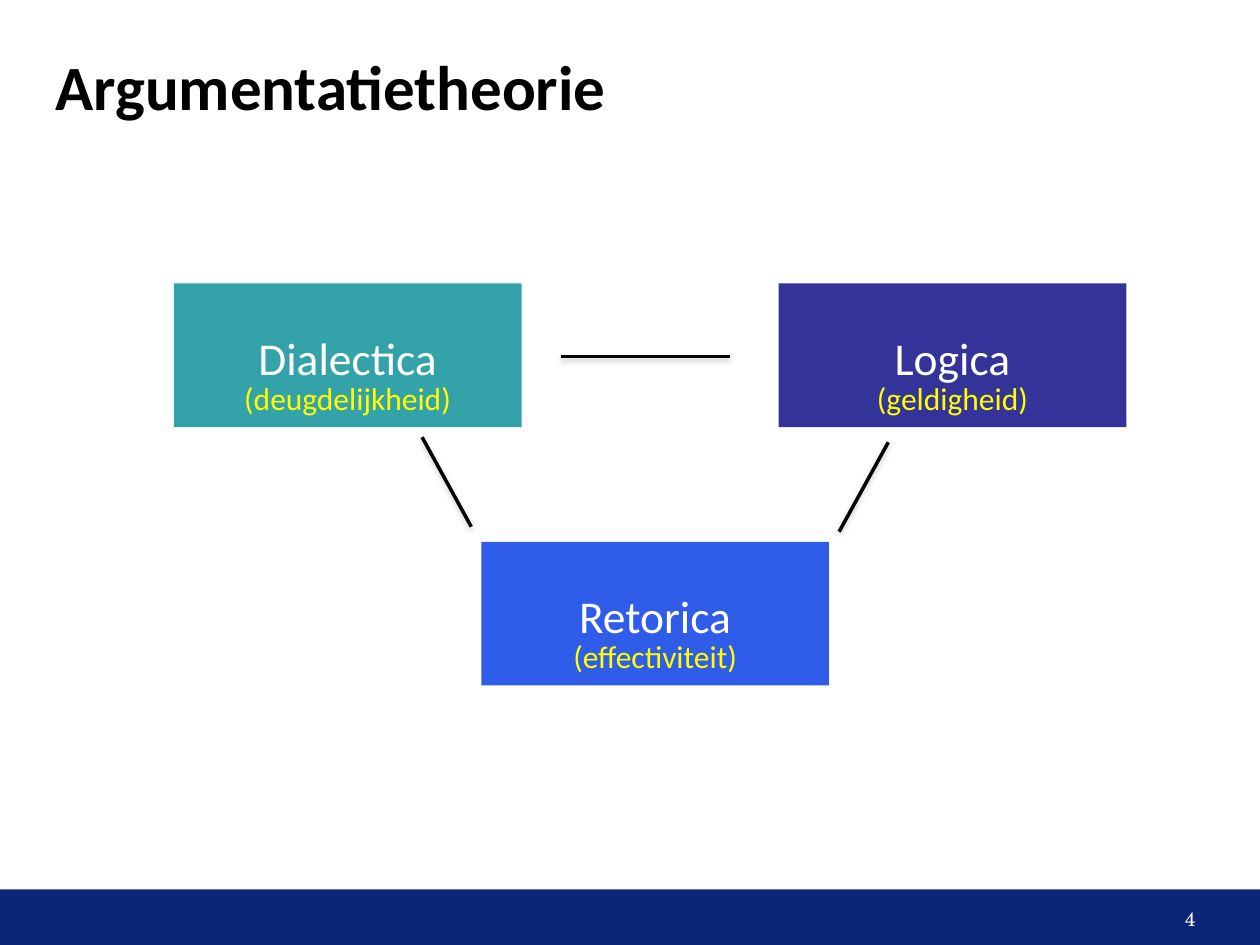
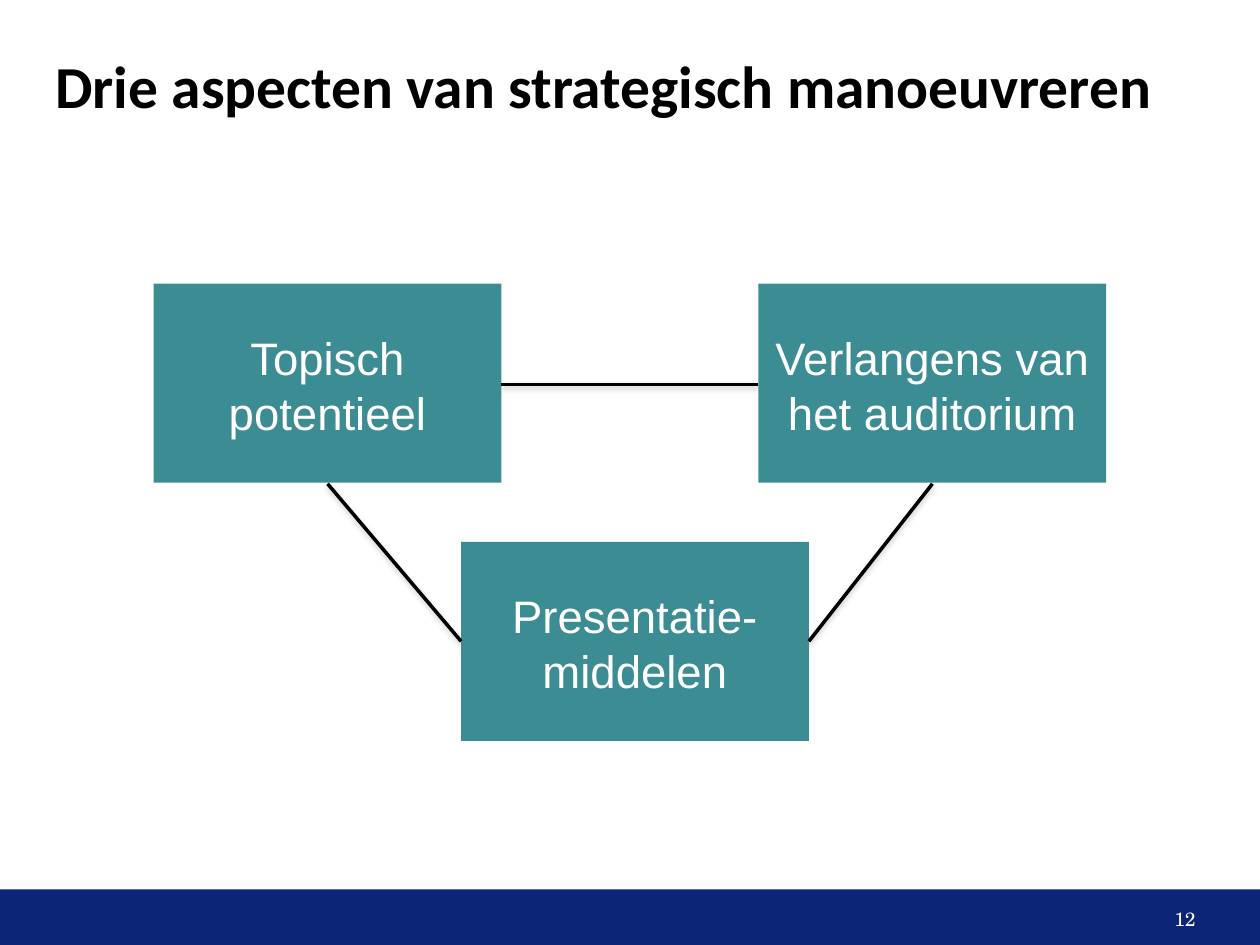
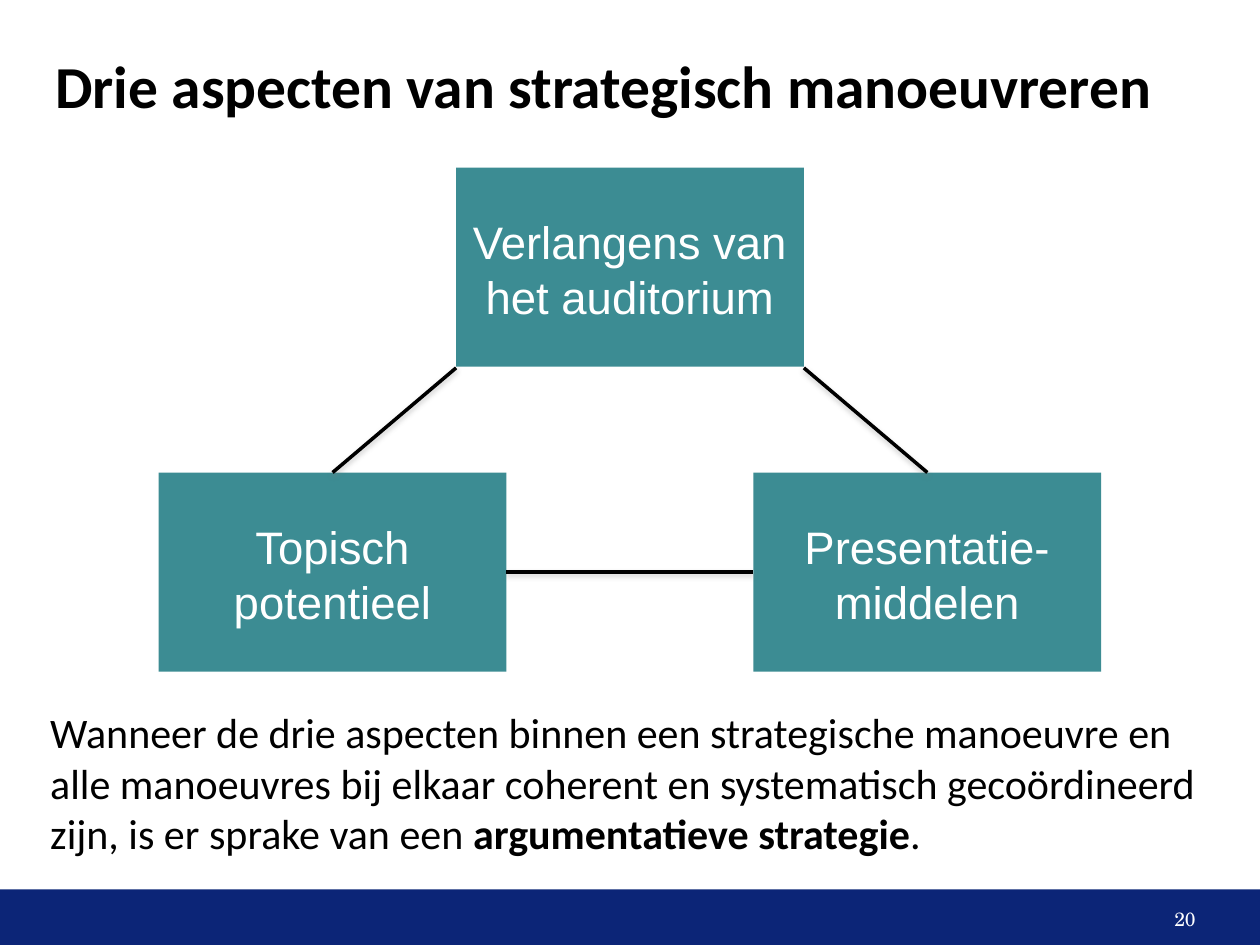
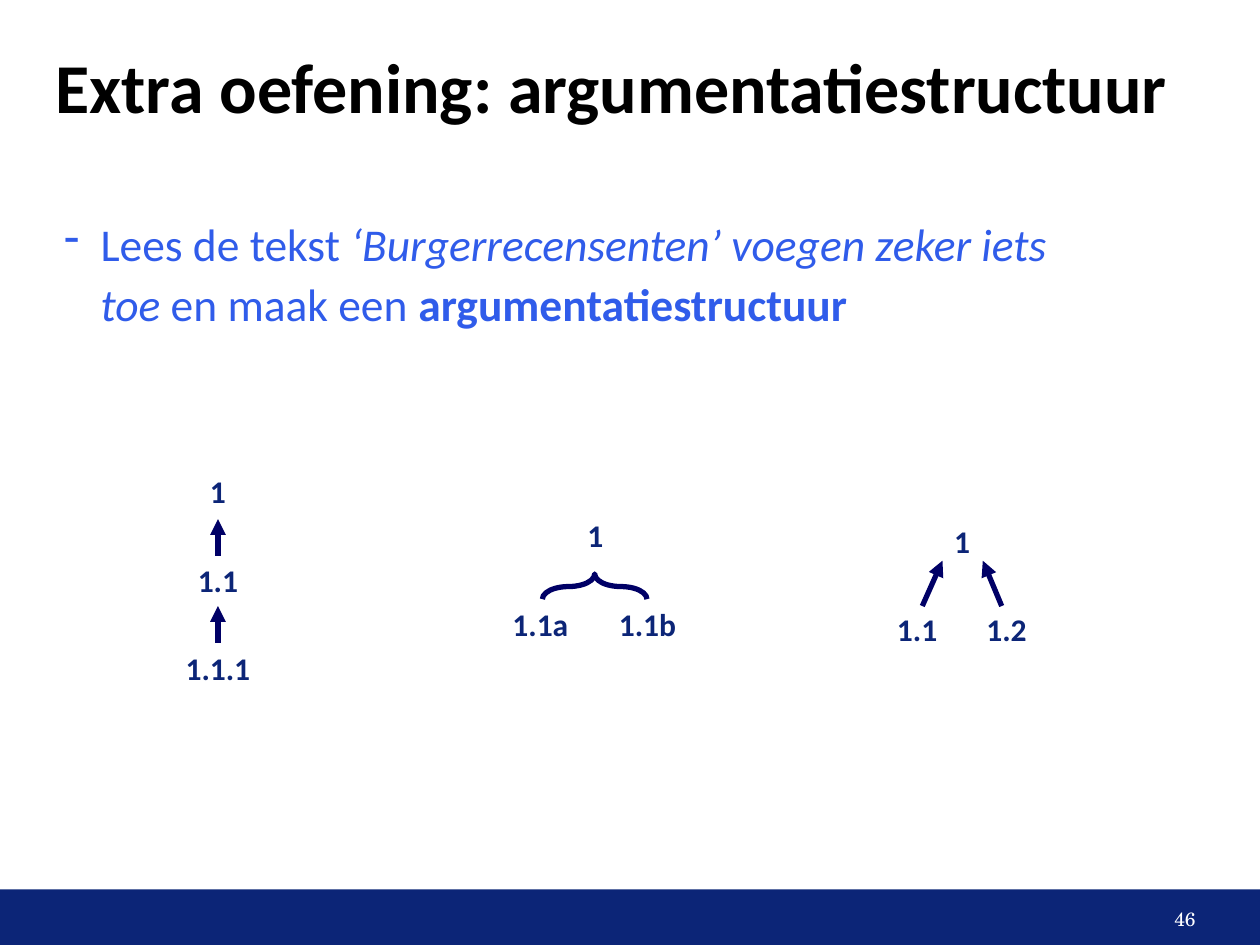
from lxml import etree
from pptx import Presentation
from pptx.dml.color import RGBColor
from pptx.enum import shapes, text
from pptx.oxml import ns
from pptx.util import Inches, Pt

NAVY, INK, TEAL, BLUE = "0C2577", "000066", "3C8C93", "305CEA"
WHITE, BLACK, YELLOW = "FFFFFF", "000000", "FFFF00"
LEFT, CENTER, RIGHT = text.PP_ALIGN.LEFT, text.PP_ALIGN.CENTER, text.PP_ALIGN.RIGHT
TOP, MIDDLE = text.MSO_ANCHOR.TOP, text.MSO_ANCHOR.MIDDLE
BOX_W = 2.76
TEXT_TOP = 0.37  # top margin inside the coloured boxes
LEVEL_GAP = 29   # points between the levels of an argument structure


def add_text(s, at, paragraphs, size, color, font="Calibri", align=LEFT, fill=None,
             anchor=TOP, margins=(0.1, 0.05, 0.1, 0.05), gap=0):
    """Add a text box, or a filled rectangle; a paragraph is a list of (text, style), style from "b" and "i"."""
    at = [Inches(v) for v in at]
    if fill:
        sp = s.shapes.add_shape(shapes.MSO_SHAPE.RECTANGLE, *at)
        sp.shadow.inherit = False
        sp.fill.solid()
        sp.fill.fore_color.rgb = RGBColor.from_string(fill)
        sp.line.fill.background()
    else:
        sp = s.shapes.add_textbox(*at)
    tf = sp.text_frame
    tf.word_wrap = True
    tf.vertical_anchor = anchor
    tf.margin_left, tf.margin_top, tf.margin_right, tf.margin_bottom = map(Inches, margins)
    for i, runs in enumerate(paragraphs):
        p = tf.add_paragraph() if i else tf.paragraphs[0]
        p.alignment = align
        if i and gap:
            p.space_before = Pt(gap)
        for words, style in runs:
            r = p.add_run()
            r.text = words
            r.font.name, r.font.size = font, Pt(size)
            r.font.bold, r.font.italic = "b" in style, "i" in style
            r.font.color.rgb = RGBColor.from_string(color)
    return sp


def add_line(s, x1, y1, x2, y2, color=BLACK, width=2, arrow=False):
    """Add a line with a soft shadow, or an arrow without one."""
    ln = s.shapes.add_connector(shapes.MSO_CONNECTOR.STRAIGHT, *map(Inches, (x1, y1, x2, y2)))
    ln.line.color.rgb = RGBColor.from_string(color)
    ln.line.width = Pt(width)
    sp_pr = ln._element.spPr
    effects = etree.SubElement(sp_pr, ns.qn("a:effectLst"))
    if arrow:
        etree.SubElement(sp_pr.find(ns.qn("a:ln")), ns.qn("a:tailEnd"), type="triangle")
    else:
        shadow = etree.SubElement(effects, ns.qn("a:outerShdw"), blurRad=str(Pt(3.1)),
                                  dist=str(Pt(1.6)), dir="5400000", rotWithShape="0")
        tint = etree.SubElement(shadow, ns.qn("a:srgbClr"), val="808080")
        etree.SubElement(tint, ns.qn("a:alpha"), val="38000")


prs = Presentation()
prs.slide_width, prs.slide_height = Inches(10), Inches(7.5)

# Title, band and page number of every slide
slides = []
for title, size, number in [
    ("Argumentatietheorie", 36, "4"),
    ("Drie aspecten van strategisch manoeuvreren", 34, "12"),
    ("Drie aspecten van strategisch manoeuvreren", 34, "20"),
    ("Extra oefening: argumentatiestructuur", 40, "46"),
]:
    s = prs.slides.add_slide(prs.slide_layouts[6])
    add_text(s, (0, 7.06, 10, 0.44), [], 11, WHITE, fill=NAVY)
    add_text(s, (7.31, 7.06, 2.25, 0.46), [[(number, "")]], 11, WHITE, "TeX Gyre Schola",
             RIGHT, anchor=MIDDLE, margins=(0.07, 0.04, 0.07, 0.04))
    add_text(s, (0.44, 0.44, 9.11, 0.47), [[(title, "b")]], size, BLACK,
             anchor=MIDDLE, margins=(0, 0, 0, 0))
    slides.append(s)
theory, aspects, strategy, exercise = slides

# Argumentation theory: three disciplines, each with its criterion
for x, y, name, criterion, fill in [
    (6.18, 2.25, "Logica", "(geldigheid)", "333399"),
    (3.82, 4.3, "Retorica", "(effectiviteit)", BLUE),
    (1.38, 2.25, "Dialectica", "(deugdelijkheid)", "34A3A9"),
]:
    add_text(theory, (x, y, BOX_W, 1.14), [[(name, "")]], 26, WHITE, align=CENTER,
             fill=fill, margins=(0.1, TEXT_TOP, 0.1, 0.05))
    add_text(theory, (x, y + 0.71, BOX_W, 0.4), [[(criterion, "")]], 18, YELLOW, align=CENTER)

# The three aspects, in two arrangements
for s, corners in [
    (aspects, [(1.22, 2.25), (3.66, 4.3), (6.02, 2.25)]),
    (strategy, [(1.26, 3.75), (5.98, 3.75), (3.62, 1.33)]),
]:
    names = ["Topisch potentieel", "Presentatie-middelen", "Verlangens van het auditorium"]
    for (x, y), name in zip(corners, names):
        add_text(s, (x, y, BOX_W, 1.58), [[(name, "")]], 26, WHITE, "Arial", CENTER,
                 fill=TEAL, margins=(0.1, TEXT_TOP, 0.1, 0.05))

# Lines between the boxes
for s, lines in [
    (theory, [(4.45, 2.83, 5.79, 2.83), (7.05, 3.51, 6.66, 4.22), (3.35, 3.47, 3.74, 4.18)]),
    (aspects, [(3.98, 3.05, 6.02, 3.05), (7.4, 3.84, 6.42, 5.09), (2.6, 3.84, 3.66, 5.09)]),
    (strategy, [(2.64, 3.75, 3.62, 2.92), (6.38, 2.92, 7.36, 3.75), (4.02, 4.54, 5.98, 4.54)]),
]:
    for ends in lines:
        add_line(s, *ends)

add_text(strategy, (0.3, 5.56, 9.51, 1.26), [[
    ("Wanneer de drie aspecten binnen een strategische manoeuvre en alle manoeuvres bij elkaar "
     "coherent en systematisch gecoördineerd zijn, is er sprake van een ", ""),
    ("argumentatieve strategie", "b"), (".", "")]], 24, BLACK)

# Exercise: the task as a dashed item
sp = add_text(exercise, (0.41, 1.62, 8.41, 4.65), [[
    ("Lees de tekst ", ""), ("‘Burgerrecensenten’ voegen zeker iets toe ", "i"),
    ("en maak een ", ""), ("argumentatiestructuur", "b")]], 26, BLUE)
p = sp.text_frame.paragraphs[0]
p.line_spacing = 1.1
p_pr = p._p.get_or_add_pPr()
p_pr.set("marL", str(Inches(0.29)))
p_pr.set("indent", str(-Inches(0.29)))
etree.SubElement(p_pr, ns.qn("a:buChar"), char="-")

# Exercise: one chain and two branching structures
add_text(exercise, (1.18, 3.7, 1.1, 1.92), [[(n, "b")] for n in ("1", "1.1", "1.1.1")],
         18, NAVY, align=CENTER, gap=LEVEL_GAP)
for x, y, reasons, stops in [
    (3.82, 4.05, ("1.1a", "1.1b"), (0.37, 1.22)),
    (6.73, 4.09, ("1.1", "1.2"), (0.45, 1.16)),
]:
    sp = add_text(exercise, (x, y, 1.81, 1.14),
                  [[("1", "b")], [("\t" + "\t".join(reasons), "b")]],
                  18, NAVY, align=CENTER, gap=LEVEL_GAP)
    p = sp.text_frame.paragraphs[1]
    p.alignment = LEFT
    tabs = etree.SubElement(p._p.get_or_add_pPr(), ns.qn("a:tabLst"))
    for stop in stops:
        etree.SubElement(tabs, ns.qn("a:tab"), pos=str(Inches(stop)), algn="ctr")

brace = exercise.shapes.add_shape(shapes.MSO_SHAPE.RIGHT_BRACE,
                                  *map(Inches, (4.62, 4.24, 0.2, 0.83)))
brace.shadow.inherit = False
brace.rotation = 270
brace.adjustments[0], brace.adjustments[1] = 1.28, 0.5
brace.fill.background()
brace.line.color.rgb = RGBColor.from_string(INK)
brace.line.width = Pt(3)

for ends in [(1.73, 5.1, 1.73, 4.81), (1.73, 4.41, 1.73, 4.12),
             (7.95, 4.81, 7.8, 4.45), (7.32, 4.81, 7.48, 4.45)]:
    add_line(exercise, *ends, color=INK, width=3, arrow=True)

prs.save("out.pptx")
